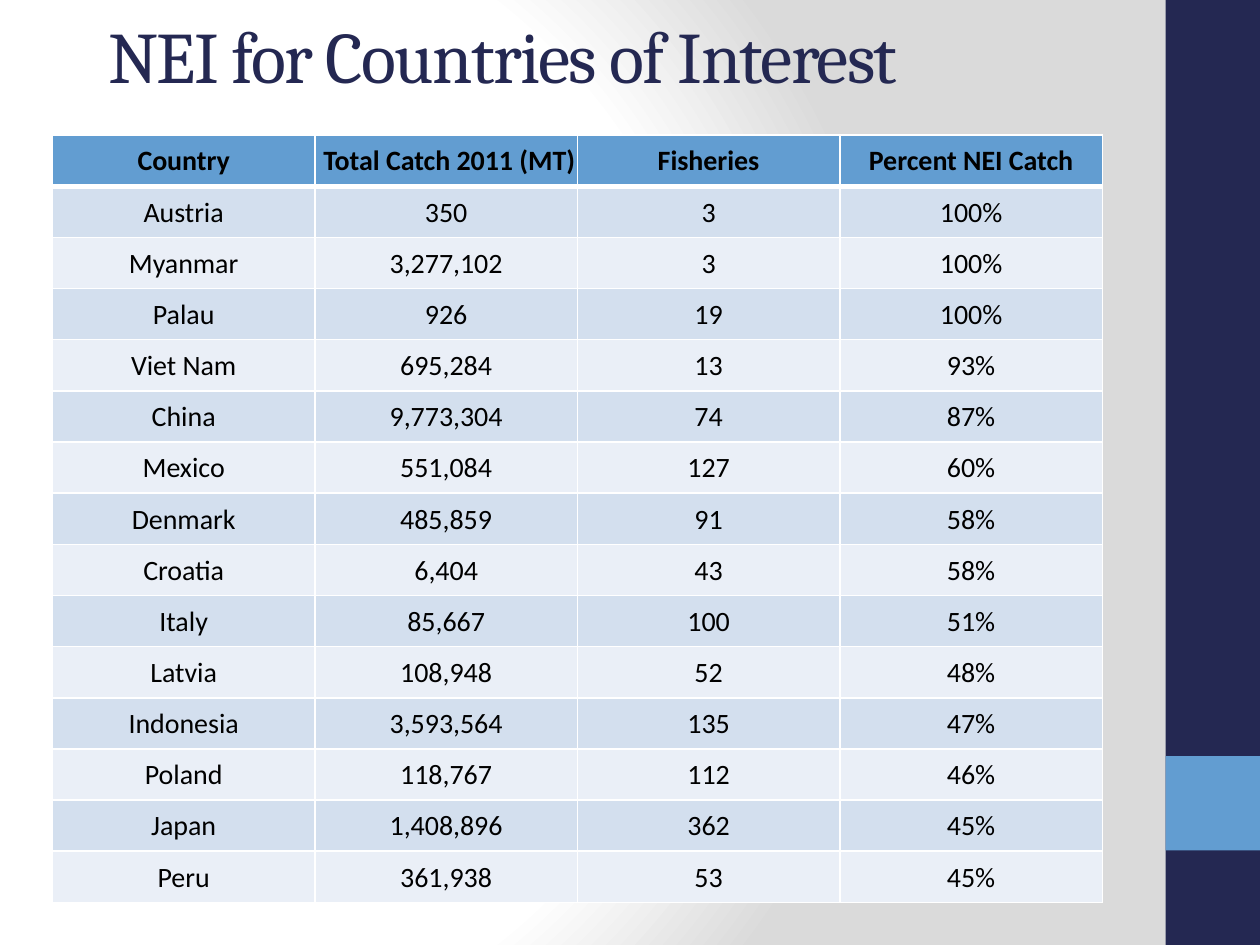
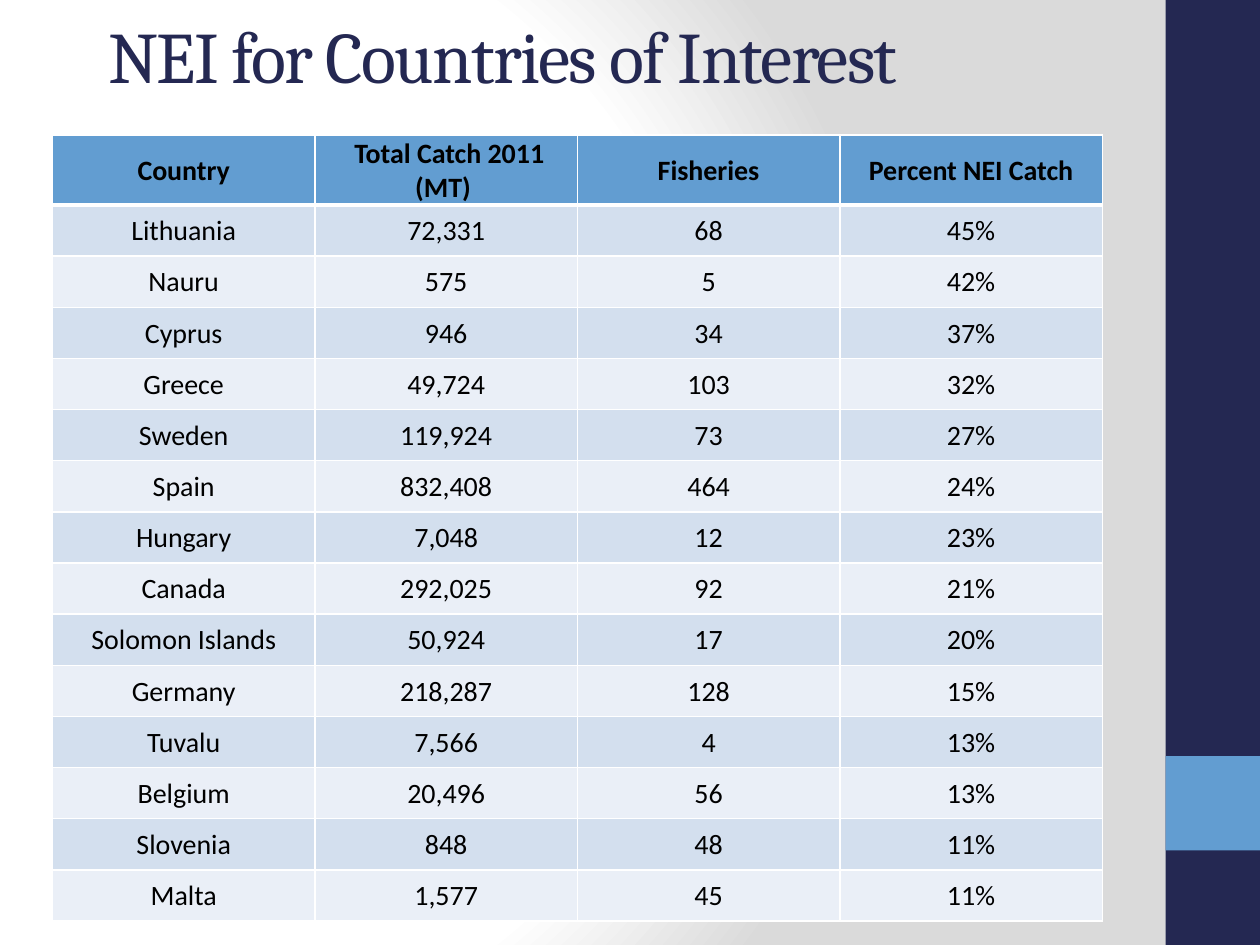
from dataclasses import dataclass

from pptx import Presentation
from pptx.dml.color import RGBColor as Rgb
from pptx.enum.shapes import MSO_SHAPE as Kind
from pptx.enum.text import MSO_ANCHOR as Anchor, MSO_AUTO_SIZE as Fit, PP_ALIGN as Align
from pptx.oxml import parse_xml
from pptx.oxml.ns import nsdecls, qn
from pptx.util import Pt


@dataclass(frozen=True)
class Theme:
    navy: str = "242852"
    blue: str = "629DD1"
    odd: str = "D3DFEE"
    even: str = "EAEFF7"
    ink: str = "000000"
    white: str = "FFFFFF"
    grey: str = "DADADA"
    serif: str = "Cambria"
    sans: str = "Calibri"
    head: float = 41.4
    cell: float = 16
    thin: int = 1
    thick: int = 3


def px(num):
    return num * 9525


class Deck:
    """Holds the theme and the current slide, and draws each kind of element."""

    def __init__(self, theme):
        self.theme = theme
        self.file = Presentation()
        self.file.slide_width, self.file.slide_height = px(960), px(720)
        self.base = self.file.slide_layouts[5]
        self.slide = None

    def page(self):
        self.slide = self.file.slides.add_slide(self.base)

    def back(self):
        look = self.theme
        stops = "".join(
            f'<a:gs pos="{pos * 1000}"><a:srgbClr val="{tint}"/></a:gs>'
            for pos, tint in ((0, look.white), (75, look.white), (100, look.grey))
        )
        self.base.element.cSld.insert(0, parse_xml(
            f'<p:bg {nsdecls("p", "a")}><p:bgPr><a:gradFill rotWithShape="1">'
            f'<a:gsLst>{stops}</a:gsLst><a:path path="circle">'
            '<a:fillToRect l="20000" t="50000" r="100000" b="50000"/></a:path>'
            '</a:gradFill><a:effectLst/></p:bgPr></p:bg>'
        ))

    def band(self, top, high, tint):
        """Draw a side band and move it to the shared layout."""
        box = self.slide.shapes.add_shape(Kind.RECTANGLE, px(888), px(top), px(72), px(high))
        box.shadow.inherit = False
        box.fill.solid()
        box.fill.fore_color.rgb = Rgb.from_string(tint)
        box.line.fill.background()
        self.base.element.cSld.spTree.append(box.element)

    def run(self, para, text, face, size, tint, bold=False):
        run = para.add_run()
        run.text = text
        font = run.font
        font.name, font.size, font.bold = face, Pt(size), bold
        font.color.rgb = Rgb.from_string(tint)

    def title(self, text):
        look, box = self.theme, self.slide.shapes.title
        box.left, box.top, box.width, box.height = px(73), px(15), px(800), px(53)
        frame = box.text_frame
        frame.word_wrap, frame.auto_size = True, Fit.NONE
        frame.vertical_anchor = Anchor.MIDDLE
        para = frame.paragraphs[0]
        para.alignment = Align.LEFT
        self.run(para, text, look.serif, look.head, look.navy)
        for prop in box.element.iter(qn("a:rPr")):
            prop.set("spc", "-100")

    def edge(self, cell, low):
        props = cell._tc.get_or_add_tcPr()
        thin = self.theme.thin
        for side, wide in (("L", thin), ("R", thin), ("T", thin), ("B", low)):
            props.append(parse_xml(
                f'<a:ln{side} {nsdecls("a")} w="{Pt(wide)}"><a:solidFill>'
                f'<a:srgbClr val="{self.theme.white}"/></a:solidFill></a:ln{side}>'
            ))

    def cell(self, cell, text, tint, bold):
        look = self.theme
        self.edge(cell, look.thick if bold else look.thin)
        cell.fill.solid()
        cell.fill.fore_color.rgb = Rgb.from_string(tint)
        cell.vertical_anchor = Anchor.MIDDLE
        cell.margin_left = cell.margin_right = cell.margin_top = px(1)
        cell.margin_bottom = 0
        frame = cell.text_frame
        for num, line in enumerate(text.split("\n")):
            para = frame.add_paragraph() if num else frame.paragraphs[0]
            para.alignment = Align.CENTER
            self.run(para, line, look.sans, look.cell, look.ink, bold)

    def table(self, rows):
        look = self.theme
        frame = self.slide.shapes.add_table(
            len(rows), len(rows[0]), px(40), px(103), px(800), px(597))
        grid = frame.table
        for col in grid.columns:
            col.width = px(200)
        for num, row in enumerate(rows):
            grid.rows[num].height = px(39)
            tint = look.blue if num == 0 else look.odd if num % 2 else look.even
            for col, text in enumerate(row):
                self.cell(grid.cell(num, col), text, tint, num == 0)
        frame.height = px(597)


TITLE = "NEI for Countries of Interest"
PAGES = [
    (" Total Catch 2011 (MT)", [
        ("Austria", 350, 3, 100),
        ("Myanmar", 3277102, 3, 100),
        ("Palau", 926, 19, 100),
        ("Viet Nam", 695284, 13, 93),
        ("China", 9773304, 74, 87),
        ("Mexico", 551084, 127, 60),
        ("Denmark", 485859, 91, 58),
        ("Croatia", 6404, 43, 58),
        ("Italy", 85667, 100, 51),
        ("Latvia", 108948, 52, 48),
        ("Indonesia", 3593564, 135, 47),
        ("Poland", 118767, 112, 46),
        ("Japan", 1408896, 362, 45),
        ("Peru", 361938, 53, 45),
    ]),
    (" Total Catch 2011\n(MT) ", [
        ("Lithuania", 72331, 68, 45),
        ("Nauru", 575, 5, 42),
        ("Cyprus", 946, 34, 37),
        ("Greece", 49724, 103, 32),
        ("Sweden", 119924, 73, 27),
        ("Spain", 832408, 464, 24),
        ("Hungary", 7048, 12, 23),
        ("Canada", 292025, 92, 21),
        ("Solomon Islands", 50924, 17, 20),
        ("Germany", 218287, 128, 15),
        ("Tuvalu", 7566, 4, 13),
        ("Belgium", 20496, 56, 13),
        ("Slovenia", 848, 48, 11),
        ("Malta", 1577, 45, 11),
    ]),
]


def main():
    look = Theme()
    deck = Deck(look)
    deck.back()
    for num, (catch, lands) in enumerate(PAGES):
        deck.page()
        if num == 0:
            deck.band(0, 720, look.navy)
            deck.band(576, 72, look.blue)
        deck.title(TITLE)
        head = ("Country", catch, "Fisheries", "Percent NEI Catch")
        body = [(land, f"{tons:,}", str(fish), f"{part}%") for land, tons, fish, part in lands]
        deck.table([head, *body])
    deck.file.save("out.pptx")


if __name__ == "__main__":
    main()
